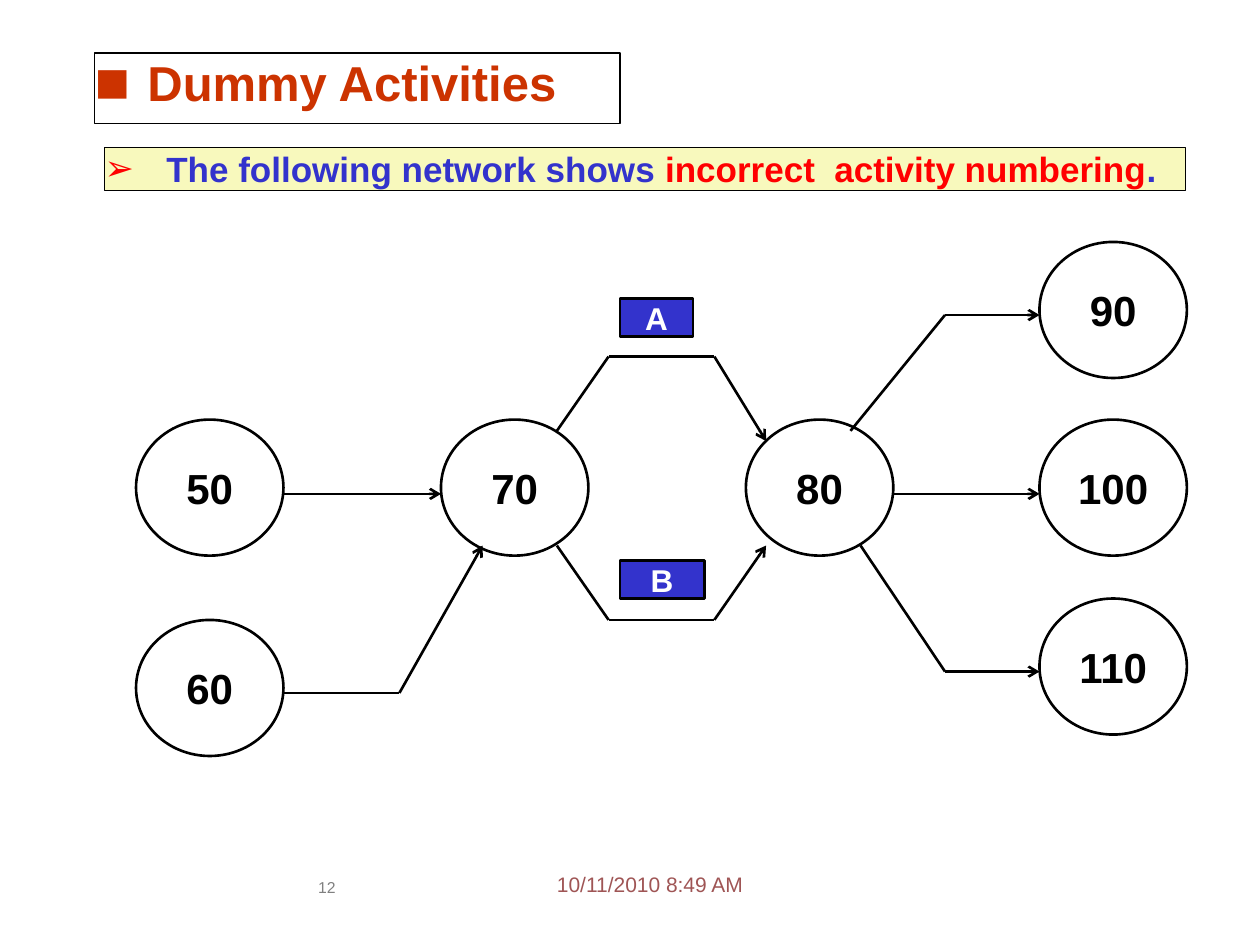
from itertools import pairwise

from lxml import etree
from pptx import Presentation
from pptx.dml.color import RGBColor
from pptx.enum import shapes, text
from pptx.oxml.ns import qn
from pptx.util import Emu, Inches, Pt

COLORS = {
    "black": "000000", "white": "FFFFFF", "blue": "3333CC", "red": "FF0000",
    "rust": "CC3300", "cream": "F8F9BD", "gray": "808080", "rose": "9F5555",
}

TITLE = "Dummy Activities"
STATEMENT = [
    ("The following network shows ", "blue"),
    ("incorrect  activity numbering", "red"),
    (".", "blue"),
]
# Event number: left, top
EVENT_SIZE = (1.17, 1.08)
EVENTS = {
    "50": (1.08, 3.33), "60": (1.08, 4.92),
    "70": (3.5, 3.33), "80": (5.92, 3.33),
    "90": (8.25, 1.92), "100": (8.25, 3.33), "110": (8.25, 4.75),
}
# Each activity is a route of points ending in an arrowhead
ACTIVITIES = [
    [(2.25, 3.92), (3.5, 3.92)],
    [(2.25, 5.5), (3.17, 5.5), (3.83, 4.33)],
    [(4.42, 3.42), (4.83, 2.83), (5.67, 2.83), (6.08, 3.5)],
    [(4.42, 4.33), (4.83, 4.92), (5.67, 4.92), (6.08, 4.33)],
    [(6.75, 3.42), (7.5, 2.5), (8.25, 2.5)],
    [(7.08, 3.92), (8.25, 3.92)],
    [(6.83, 4.33), (7.5, 5.33), (8.25, 5.33)],
]
ACTIVITY_LABELS = [("A", (4.92, 2.37, 0.58, 0.3)), ("B", (4.92, 4.45, 0.67, 0.3))]
FOOTERS = [
    ("10/11/2010 8:49 AM", (4.42, 6.92, 1.67, 0.25), 12, "rose", "LEFT"),
    ("12", (2.4, 6.97, 0.39, 0.34), 9, "gray", "CENTER"),
]


def rgb(color):
    return RGBColor.from_string(COLORS[color])


def write(shape, runs, size, color="black", bold=True, align="CENTER",
          anchor="TOP", wrap=True):
    """Fill a shape with one paragraph, given as a string or (text, color) runs."""
    frame = shape.text_frame
    frame.margin_left = frame.margin_right = frame.margin_top = frame.margin_bottom = 0
    frame.word_wrap = wrap
    frame.auto_size = text.MSO_AUTO_SIZE.NONE
    frame.vertical_anchor = text.MSO_ANCHOR[anchor]
    paragraph = frame.paragraphs[0]
    paragraph.alignment = text.PP_ALIGN[align]
    for words, run_color in [(runs, color)] if isinstance(runs, str) else runs:
        run = paragraph.add_run()
        run.text = words
        run.font.name, run.font.size, run.font.bold = "Arial", Pt(size), bold
        run.font.color.rgb = rgb(run_color)
    return paragraph


def add_bullet(paragraph, char, color, indent, percent=100):
    props = paragraph._p.get_or_add_pPr()
    props.set("marL", str(Inches(indent)))
    props.set("indent", str(-Inches(indent)))
    bullet_color = etree.SubElement(props, qn("a:buClr"))
    etree.SubElement(bullet_color, qn("a:srgbClr"), val=COLORS[color])
    etree.SubElement(props, qn("a:buSzPct"), val=str(percent * 1000))
    etree.SubElement(props, qn("a:buFont"), typeface="Arial")
    etree.SubElement(props, qn("a:buChar"), char=char)


def paint(shape, fill, width):
    shape.fill.solid()
    shape.fill.fore_color.rgb = rgb(fill)
    shape.line.color.rgb = rgb("black")
    shape.line.width = Pt(width)


def add_box(slide, kind, box, fill, width):
    shape = slide.shapes.add_shape(shapes.MSO_SHAPE[kind], *map(Inches, box))
    shape.shadow.inherit = False
    paint(shape, fill, width)
    return shape


def add_segment(slide, start, end, arrow):
    segment = slide.shapes.add_connector(
        shapes.MSO_CONNECTOR.STRAIGHT, *map(Inches, start + end))
    segment.line.color.rgb = rgb("black")
    segment.line.width = Pt(1.5)
    if arrow:
        etree.SubElement(segment.line._get_or_add_ln(), qn("a:tailEnd"), type="arrow")
    etree.SubElement(segment._element.spPr, qn("a:effectLst"))


def main():
    prs = Presentation()
    prs.slide_width, prs.slide_height = Inches(10), Inches(7.5)
    slide = prs.slides.add_slide(prs.slide_layouts[5])

    # Title
    title = slide.shapes.title
    title.left, title.top, title.width, title.height = map(
        Inches, (0.75, 0.42, 4.17, 0.56))
    paint(title, "white", 0.75)
    add_bullet(write(title, TITLE, 28, "rust", align="LEFT"), "■", "rust", 0.42, 120)

    # Statement
    banner = add_box(slide, "RECTANGLE", (0.83, 1.17, 8.58, 0.34), "cream", 0.75)
    add_bullet(write(banner, STATEMENT, 20, align="JUSTIFY"), "➢", "red", 0.49)

    # Network: events, activities and their labels
    for number, corner in EVENTS.items():
        event = add_box(slide, "OVAL", corner + EVENT_SIZE, "white", 1.5)
        write(event, number, 24, anchor="MIDDLE", wrap=False)
    for route in ACTIVITIES:
        for start, end in pairwise(route):
            add_segment(slide, start, end, arrow=end == route[-1])
    for letter, box in ACTIVITY_LABELS:
        write(add_box(slide, "RECTANGLE", box, "blue", 1.5), letter, 18, "white")

    # Date and slide number
    for words, box, size, color, align in FOOTERS:
        footer = slide.shapes.add_textbox(*map(Inches, box))
        write(footer, words, size, color, bold=False, align=align)

    prs.save("out.pptx")


if __name__ == "__main__":
    main()
